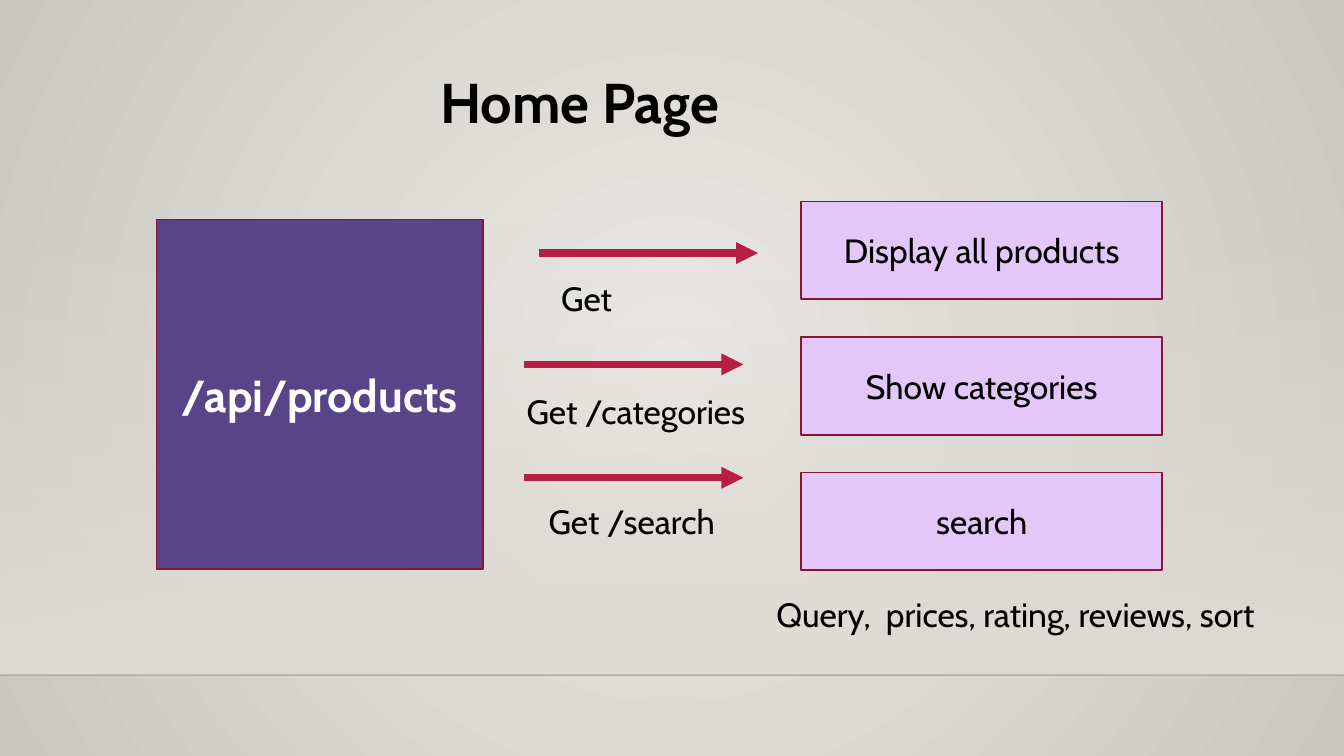
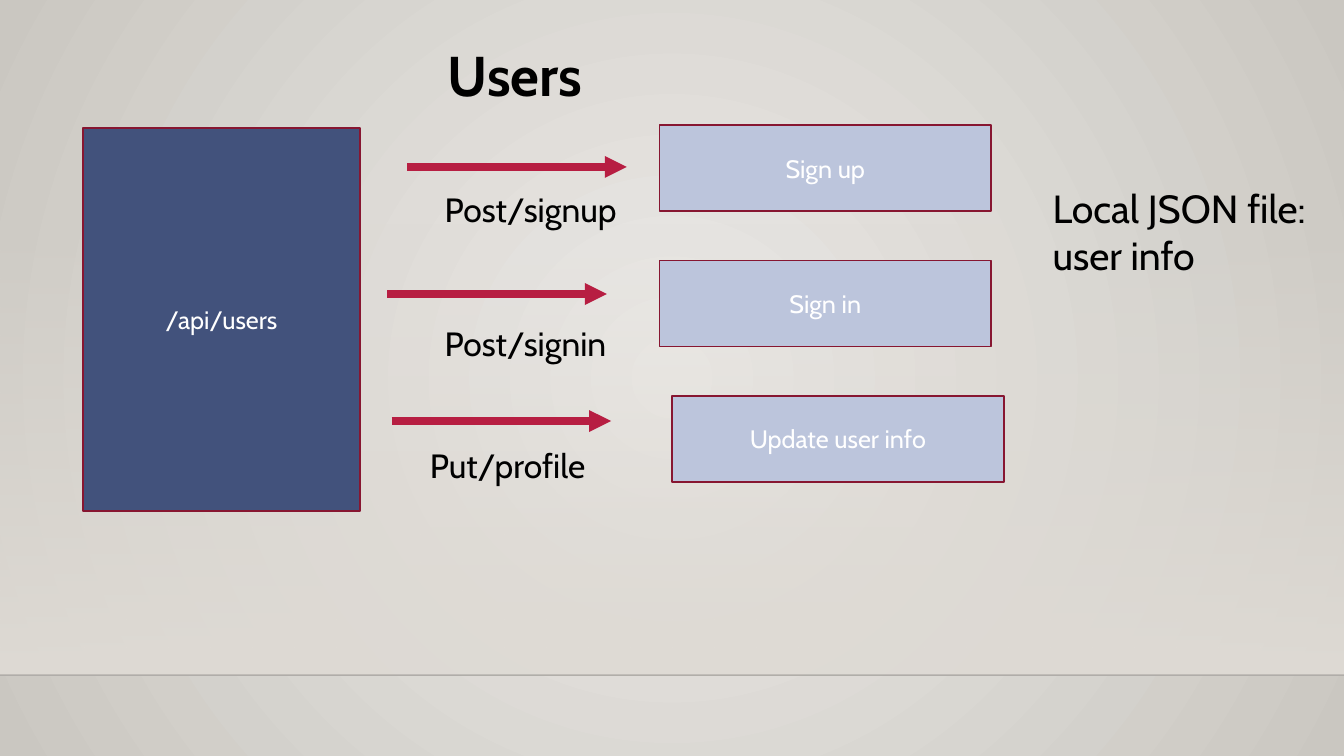
from lxml.etree import SubElement
from pptx import Presentation
from pptx.dml.color import RGBColor
from pptx.enum.shapes import MSO_CONNECTOR as Connector, MSO_SHAPE as Preset
from pptx.enum.text import MSO_ANCHOR as Anchor, PP_ALIGN as Align
from pptx.oxml import parse_xml
from pptx.oxml.ns import nsdecls, qn
from pptx.util import Pt

PX = 9525
WIDTH, HEIGHT = 1280, 720
HORIZON_TOP, FLOOR = 212, 643
ARROW_LENGTH, LABEL_HEIGHT, ACTION_STEP = 209, 48, 129
FONT = "Cabin"
COLORS = {
    "ink": "000000", "white": "FFFFFF", "arrow": "B71E42", "border": "871631",
    "glow": "ECEAE7", "edge": "CAC7C1", "wall": "DFDBD5", "floor_line": "000001",
    "products": "594487", "product_action": "E4C7F9",
    "users": "42527C", "user_action": "BCC5DC",
}


def px(*lengths):
    return [length * PX for length in lengths]


def rgb(name):
    return RGBColor.from_string(COLORS[name])


def set_gradient(fill, holder, stops, direction):
    fill.gradient()
    stop_xml = "".join(
        f'<a:gs pos="{pos * 1000}"><a:srgbClr val="{COLORS[color]}">'
        f'<a:alpha val="{alpha * 1000}"/></a:srgbClr></a:gs>'
        for pos, color, alpha in stops)
    gradient = parse_xml(
        f'<a:gradFill {nsdecls("a")} rotWithShape="1">'
        f'<a:gsLst>{stop_xml}</a:gsLst>{direction}</a:gradFill>')
    holder.replace(holder.find(qn("a:gradFill")), gradient)


def set_background(master):
    fill = master.background.fill
    holder = master.element.find(".//" + qn("p:bgPr"))
    set_gradient(fill, holder, [(0, "glow", 100), (100, "edge", 100)],
                 '<a:path path="circle"><a:fillToRect l="50000" t="50000" '
                 'r="50000" b="50000"/></a:path>')


def write(frame, text, size=24, color="ink", bold=False, align=Align.LEFT,
          anchor=Anchor.TOP):
    frame.word_wrap = True
    frame.vertical_anchor = anchor
    paragraph = frame.paragraphs[0]
    paragraph.alignment = align
    run = paragraph.add_run()
    run.text = text
    run.font.name = FONT
    run.font.size = Pt(size)
    run.font.bold = bold
    run.font.color.rgb = rgb(color)


def add_label(slide, box, text, **style):
    write(slide.shapes.add_textbox(*px(*box)).text_frame, text, **style)


def add_block(slide, box, text, fill, **style):
    block = slide.shapes.add_shape(Preset.RECTANGLE, *px(*box))
    block.shadow.inherit = False
    block.fill.solid()
    block.fill.fore_color.rgb = rgb(fill)
    block.line.color.rgb = rgb("border")
    block.line.width = Pt(1.25)
    write(block.text_frame, text, align=Align.CENTER, anchor=Anchor.MIDDLE, **style)


def add_line(slide, x, y, length, color, weight):
    line = slide.shapes.add_connector(Connector.STRAIGHT, *px(x, y, x + length, y))
    line.line.color.rgb = rgb(color)
    line.line.width = Pt(weight)
    SubElement(line._element.spPr, qn("a:effectLst"))
    return line


def add_arrow(slide, x, y):
    arrow = add_line(slide, x, y, ARROW_LENGTH, "arrow", 5.25)
    SubElement(arrow.line._get_or_add_ln(), qn("a:tailEnd"), type="triangle")


def add_room(slide):
    wall = slide.shapes.add_shape(
        Preset.RECTANGLE, *px(0, HORIZON_TOP, WIDTH, FLOOR - HORIZON_TOP))
    wall.shadow.inherit = False
    wall.line.fill.background()
    set_gradient(wall.fill, wall._element.spPr,
                 [(0, "wall", 0), (100, "wall", 100)],
                 '<a:lin ang="5400000" scaled="0"/>')
    horizon = add_line(slide, 0, FLOOR, WIDTH, "floor_line", 1)
    tint = horizon._element.spPr.find(".//" + qn("a:srgbClr"))
    SubElement(tint, qn("a:alpha"), val="20000")


def add_routes(slide, box, endpoint, fill, endpoint_style, routes,
               action_top, action_size, action_fill, action_style):
    left, top = box[:2]
    add_block(slide, box, endpoint, fill, **endpoint_style)
    for row, (arrow, label, request, action_left, action) in enumerate(routes):
        add_arrow(slide, left + arrow[0], top + arrow[1])
        label_left, label_top, label_width = label
        add_label(slide, (left + label_left, top + label_top,
                          label_width, LABEL_HEIGHT), request)
        action_y = top + action_top + row * ACTION_STEP
        add_block(slide, (left + action_left, action_y, *action_size),
                  action, action_fill, **action_style)


def add_api_slide(deck, title, title_box, note, note_box, note_size, **routes):
    slide = deck.slides.add_slide(deck.slide_layouts[6])
    add_room(slide)
    add_label(slide, title_box, title, size=40, bold=True)
    add_routes(slide, **routes)
    add_label(slide, note_box, note, size=note_size)


def main():
    deck = Presentation()
    deck.slide_width, deck.slide_height = px(WIDTH, HEIGHT)
    set_background(deck.slide_master)
    add_api_slide(
        deck, "Home Page", (410, 60, 380, 74),
        "Query,  prices, rating, reviews, sort", (730, 561, 500, 48), 24,
        box=(149, 209, 311, 333), endpoint="/api/products", fill="products",
        endpoint_style={"size": 32, "color": "white", "bold": True},
        routes=[
            ((364, 32), (376, 51, 184), "Get", 614, "Display all products"),
            ((350, 138), (343, 159, 238), "Get /categories", 614, "Show categories"),
            ((350, 246), (364, 263, 196), "Get /search", 614, "search"),
        ],
        action_top=-17, action_size=(344, 93), action_fill="product_action",
        action_style={"size": 24})
    add_api_slide(
        deck, "Users", (417, 34, 446, 74),
        "Local JSON file: user info", (993, 171, 264, 100), 28,
        box=(79, 122, 264, 365), endpoint="/api/users", fill="users",
        endpoint_style={"size": 18, "color": "white"},
        routes=[
            ((309, 37), (335, 53, 184), "Post/signup", 549, "Sign up"),
            ((290, 158), (335, 181, 184), "Post/signin", 549, "Sign in"),
            ((294, 279), (321, 297, 219), "Put/profile", 561, "Update user info"),
        ],
        action_top=-3, action_size=(316, 82), action_fill="user_action",
        action_style={"size": 18, "color": "white"})
    deck.save("out.pptx")


if __name__ == "__main__":
    main()
